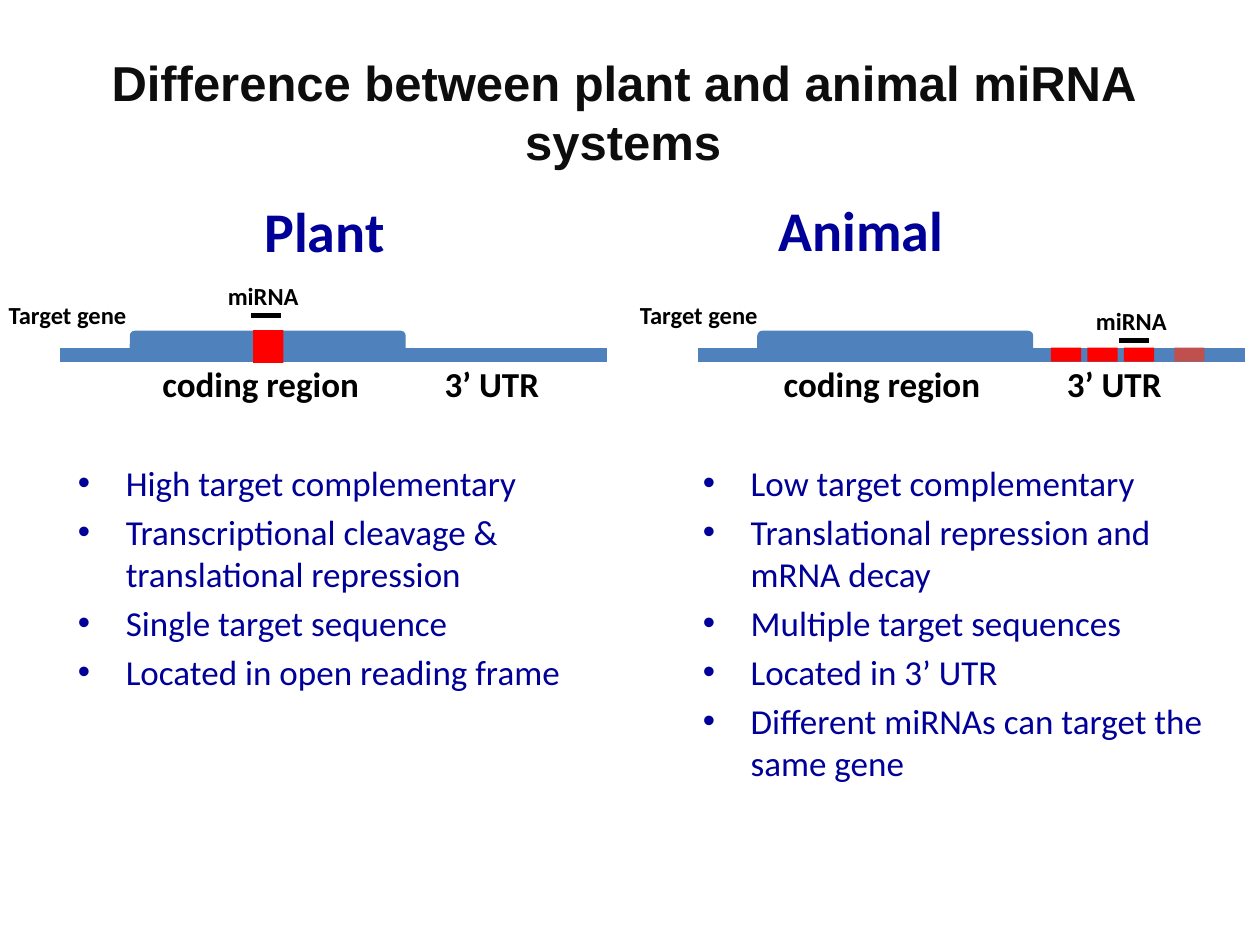
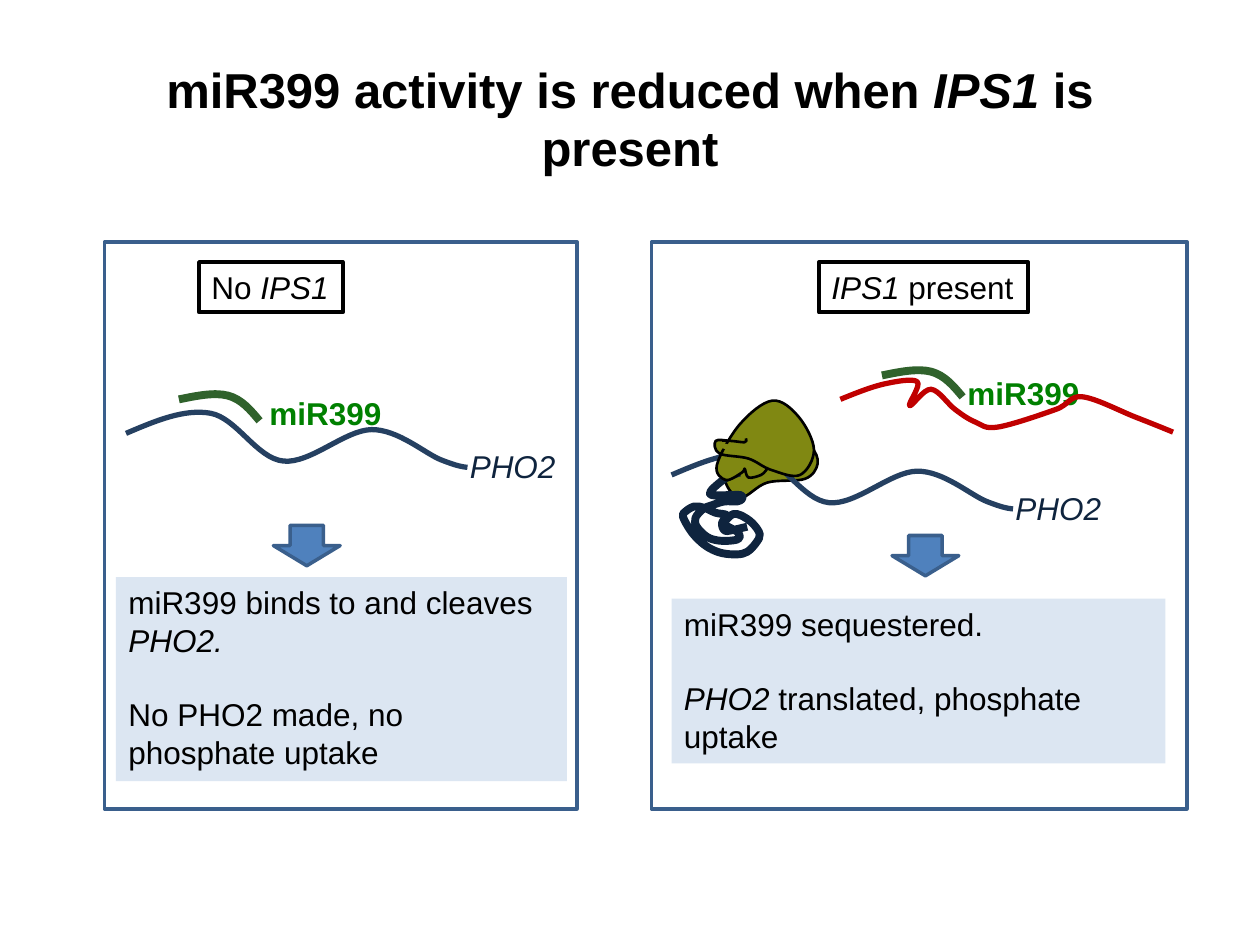
from dataclasses import dataclass
from lxml.etree import SubElement as sub
from pptx import Presentation
from pptx.dml.color import RGBColor as RGB
from pptx.enum.shapes import MSO_CONNECTOR as CON, MSO_SHAPE as SHAPE
from pptx.enum.text import MSO_ANCHOR as ANCHOR, PP_ALIGN as ALIGN
from pptx.oxml.ns import qn
from pptx.util import Inches, Pt

CELL = Inches(10) / 100


@dataclass(frozen=True)
class Theme:
    """Colours, fonts and type sizes of the deck."""
    black: str = "000000"
    ink: str = "0D0D0D"
    navy: str = "000099"
    gene: str = "4F81BD"
    edge: str = "3A5F8C"
    site: str = "FF0000"
    weak: str = "C0504D"
    strand: str = "254061"
    dark: str = "0F243E"
    micro: str = "30622C"
    green: str = "008000"
    decoy: str = "C00000"
    olive: str = "808812"
    pale: str = "DCE6F2"
    sans: str = "Arial"
    body: str = "Calibri"
    title: int = 28
    head: int = 32
    large: int = 20
    mid: int = 18
    small: int = 14


T = Theme()


def grid(*cells):
    """Turn grid cells (100 columns by 75 rows) into lengths."""
    return [round(c * CELL) for c in cells]


def paint(shape, fill=None, edge=None, width=1):
    """Set the fill and outline of a shape, or clear them."""
    if fill:
        shape.fill.solid()
        shape.fill.fore_color.rgb = RGB.from_string(fill)
    else:
        shape.fill.background()
    if edge:
        shape.line.color.rgb = RGB.from_string(edge)
        shape.line.width = Pt(width)
    else:
        shape.line.fill.background()


def style(par, size, color, face, bold=False):
    """Set the font of a whole paragraph."""
    font = par.font
    font.size, font.name, font.bold = Pt(size), face, bold
    font.color.rgb = RGB.from_string(color)


def write(par, words):
    """Add runs to a paragraph; words between asterisks are italic."""
    for i, part in enumerate(words.split("*")):
        if part:
            run = par.add_run()
            run.text = part
            run.font.italic = i % 2 == 1


def text(slide, at, lines, size, color=T.black, face=T.sans, bold=False,
         wrap=True, gap=0, dot=False):
    """Add a text box with one paragraph per line."""
    box = slide.shapes.add_textbox(*grid(*at))
    frame = box.text_frame
    frame.word_wrap = wrap
    for i, words in enumerate(lines):
        par = frame.add_paragraph() if i else frame.paragraphs[0]
        if i and gap:
            par.space_before = Pt(gap)
        if dot:
            bullet(par)
        style(par, size, color, face, bold)
        write(par, words)
    return box


def bullet(par):
    """Give a paragraph a hanging round bullet."""
    props = par._p.get_or_add_pPr()
    hang = Inches(0.38)
    props.set("marL", str(hang))
    props.set("indent", str(-hang))
    sub(props, qn("a:buFont"), typeface=T.sans)
    sub(props, qn("a:buChar"), char="•")


def label(slide, at, words, size=T.large, color=T.black, face=T.body, bold=True):
    """Add a one-line label that does not wrap."""
    return text(slide, at, [words], size, color, face, bold, wrap=False)


def title(slide, at, words, color=T.black, anchor=ANCHOR.TOP):
    """Add the centred slide title."""
    frame = text(slide, at, [words], T.title, color, bold=True).text_frame
    frame.vertical_anchor = anchor
    frame.paragraphs[0].alignment = ALIGN.CENTER


def shape(slide, kind, at, fill=None, edge=None, width=2):
    """Add a flat preset shape."""
    item = slide.shapes.add_shape(kind, *grid(*at))
    item.shadow.inherit = False
    paint(item, fill, edge, width)
    return item


def line(slide, ends, color, width):
    """Add a straight line from two end points."""
    item = slide.shapes.add_connector(CON.STRAIGHT, *grid(*ends))
    item.line.color.rgb = RGB.from_string(color)
    item.line.width = Pt(width)
    sub(item._element.spPr, qn("a:effectLst"))


def curve(slide, points, fill=None, edge=None, width=3, shift=(0, 0), close=False):
    """Draw a smooth outline through the points."""
    dots = [grid(x + shift[0], y + shift[1]) for x, y in points]
    pen = slide.shapes.build_freeform(*dots[0])
    pen.add_line_segments(dots[1:], close=close)
    item = pen.convert_to_shape()
    item.shadow.inherit = False
    paint(item, fill, edge, width)
    left, top = (min(axis) for axis in zip(*dots))
    bend(item, [(x - left, y - top) for x, y in dots])


def bend(item, dots):
    """Replace straight segments with Catmull-Rom curves."""
    steps = list(item._element.iter(qn("a:lnTo")))
    last = len(dots) - 1
    for i, step in enumerate(steps[:last]):
        a, b = dots[i], dots[i + 1]
        prev, after = dots[max(i - 1, 0)], dots[min(i + 2, last)]
        one = [p + (q - o) / 6 for o, p, q in zip(prev, a, b)]
        two = [q - (r - p) / 6 for p, q, r in zip(a, b, after)]
        if i == 0:
            one = [(p + q) / 2 for p, q in zip(a, two)]
        if i == last - 1:
            two = [(p + q) / 2 for p, q in zip(one, b)]
        step.tag = qn("a:cubicBezTo")
        step.clear()
        for x, y in (one, two, b):
            sub(step, qn("a:pt"), x=str(round(x)), y=str(round(y)))


def gene(slide, name, head, start, exon, code, tail, tag):
    """Draw a target gene with its heading and region labels."""
    label(slide, head, name, T.head, T.navy)
    line(slide, (start, 28.2, start + 43.4, 28.2), T.gene, 8)
    shape(slide, SHAPE.ROUNDED_RECTANGLE, (exon, 26.25, 21.9, 2.4), T.gene)
    label(slide, (code, 28.25, 17.8, 4.4), "coding region")
    label(slide, (tail, 28.25, 9.6, 4.4), "3’ UTR")
    label(slide, (tag, 23.3, 11.4, 3.4), "Target gene", T.small)


def probe(slide, left, top):
    """Mark a miRNA with its label and a short bar."""
    label(slide, (left, top, 7.7, 3.4), "miRNA", T.small)
    line(slide, (left + 2.8, top + 3.25, left + 5.2, top + 3.25), T.black, 3)


def points(slide, at, lines):
    """Add a bulleted list."""
    text(slide, at, lines, T.large, T.navy, T.body, gap=4, dot=True)


def systems(slide):
    """Compare plant and animal miRNA systems."""
    title(slide, (-0.3, 2.6, 99.5, 12.5),
          "Difference between plant and animal miRNA systems", T.ink, ANCHOR.MIDDLE)
    gene(slide, "Plant", (20, 15.1, 11.6, 6.4), 4.8, 10.3, 11.9, 34.3, -0.3)
    gene(slide, "Animal", (60.8, 15, 15.2, 6.4), 55.4, 60.1, 61.2, 83.7, 49.8)
    shape(slide, SHAPE.RECTANGLE, (20.1, 26.2, 2.4, 2.6), T.site)
    for left, fill in ((83.4, T.site), (86.3, T.site), (89.2, T.site), (93.2, T.weak)):
        shape(slide, SHAPE.RECTANGLE, (left, 27.6, 2.4, 1.1), fill)
    probe(slide, 17.1, 21.8)
    probe(slide, 86, 23.8)
    points(slide, (5.2, 36.1, 41.7, 25.6), [
        "High target complementary",
        "Transcriptional cleavage & translational repression",
        "Single target sequence",
        "Located in open reading frame"])
    points(slide, (54.8, 36.1, 44.7, 29), [
        "Low target complementary",
        "Translational repression and mRNA decay",
        "Multiple target sequences",
        "Located in 3’ UTR",
        "Different miRNAs can target the same gene"])


def panel(slide, frame, tag, words, arrow, note, lines):
    """Draw a framed case with its tag, arrow and outcome note."""
    shape(slide, SHAPE.RECTANGLE, frame, edge=T.edge)
    paint(label(slide, tag, words, T.mid, face=T.sans, bold=False),
          edge=T.black, width=2.25)
    shape(slide, SHAPE.DOWN_ARROW, (*arrow, 5.3, 3.2), T.gene, T.edge)
    paint(text(slide, note, lines, T.mid, gap=20.7), T.pale)


def micro(slide, shift, left, top):
    """Draw the miR399 strand and its label."""
    curve(slide, [(14.2, 31.7), (18.1, 31.4), (20.6, 33.4)],
          edge=T.micro, width=4.5, shift=shift)
    text(slide, (left, top, 19.2, 4), ["miR399"], T.mid, T.green, bold=True)


def target(slide, shift=(0, 0)):
    """Draw the PHO2 strand and its label."""
    curve(slide, [(10, 34.4), (16.7, 32.8), (22.5, 36.6), (29.5, 34.1),
                  (35, 36.5), (37.1, 37.1)], edge=T.strand, shift=shift)
    label(slide, (36.3 + shift[0], 35 + shift[1], 8.9, 4), "*PHO2*",
          T.mid, T.dark, T.sans, False)


def lobe(slide):
    """Draw the rear lobe of the ribosome."""
    curve(slide, [(63, 35), (64.4, 35.5), (64.9, 36.8), (63.9, 38), (60.9, 38.3),
                  (58.8, 39.5), (57.6, 38.3), (58, 36.8), (60, 36.7), (61, 35.5),
                  (62.5, 35.1), (63.2, 35)], T.olive, T.black, 1.5)


def coil(slide):
    """Draw the protein chain and the front lobe of the ribosome."""
    curve(slide, [
        (58.7, 37.5), (57.7, 37.9), (57, 38.4), (56.4, 39), (56.5, 39.3),
        (57.7, 39.3), (58.8, 39.3), (58.9, 39.6), (58.5, 39.8), (57.5, 39.8),
        (56.5, 40.1), (55.8, 40.4), (55.2, 41.1), (55.3, 41.8), (56.1, 42.6),
        (57, 42.9), (58.1, 42.9), (58.7, 42.7), (58.5, 42.2), (57.5, 41.6),
        (57.8, 41.1), (58.2, 40.8), (58.8, 40.9), (59.7, 41.5), (60.3, 42.4),
        (60, 43.1), (59.3, 43.8), (58.5, 44), (57.3, 43.9), (56.3, 43.5),
        (55.5, 42.9), (54.8, 42.1), (54.2, 41), (54.4, 40.6), (55.1, 40.2),
        (55.9, 40.3), (56.8, 40.7), (57.7, 40.9), (57.3, 41.5), (57.5, 42.1),
        (58, 42.1), (59.3, 41.8)], edge=T.dark, width=4.5)
    curve(slide, [(59.3, 34.9), (59, 35.1), (57.8, 35), (57.3, 35.9), (58.3, 36.2),
                  (60, 36.6), (60.9, 37.1), (60.3, 36.3), (59.6, 35.3), (59.3, 34.9)],
          T.olive, close=True)
    curve(slide, [(59.2, 34.8), (59.1, 35.1), (58, 35), (56.8, 35), (57.1, 36),
                  (59.4, 36.4), (61.2, 37.3), (63.5, 37.7), (64.6, 35.7), (63.4, 33.1),
                  (61.3, 31.8), (58.7, 33.7), (56.9, 36.9), (57.6, 38.1), (58.9, 37.5),
                  (59.1, 37.2), (59.4, 37.9), (60.4, 37.7), (60.9, 37.2), (60.8, 37.2)],
          T.olive, T.black, 1.5)
    line(slide, (57.4, 35.6, 57.5, 35.2), T.olive, 4.5)
    line(slide, (57.3, 35, 58.2, 35), T.black, 1)


def decoy(slide):
    """Draw the IPS1 strand that holds miR399."""
    curve(slide, [(66.7, 31.7), (70.1, 30.5), (72.8, 30.3), (72.2, 32.2), (73.9, 30.9),
                  (75.8, 32.5), (77.4, 33.5), (79.2, 33.9), (83.8, 32.5), (85.9, 31.5),
                  (90.1, 33.1), (93.1, 34.3)], edge=T.decoy)


def activity(slide):
    """Contrast miR399 activity without and with IPS1."""
    title(slide, (5, 4.2, 90, 12.5), "miR399 activity is reduced when *IPS1* is present")
    panel(slide, (8.3, 19.2, 37.5, 45), (15.8, 20.8, 11.4, 4), "No *IPS1*",
          (21.7, 41.7), (9.2, 45.8, 35.8, 16.2),
          ["miR399 binds to and cleaves *PHO2.*", "No PHO2 made, no phosphate uptake"])
    panel(slide, (51.7, 19.2, 42.5, 45), (65, 20.8, 16.6, 4), "*IPS1* present",
          (70.8, 42.5), (53.3, 47.5, 39.2, 13.1),
          ["miR399 sequestered.", "*PHO2* translated, phosphate uptake"])
    target(slide)
    micro(slide, (0, 0), 20.4, 30.8)
    micro(slide, (55.8, -1.9), 75.8, 29.2)
    decoy(slide)
    lobe(slide)
    target(slide, (43.3, 3.3))
    coil(slide)


def main():
    """Build and save the deck."""
    deck = Presentation()
    deck.slide_width, deck.slide_height = grid(100, 75)
    for fill in (systems, activity):
        fill(deck.slides.add_slide(deck.slide_layouts[6]))
    deck.save("out.pptx")


if __name__ == "__main__":
    main()
